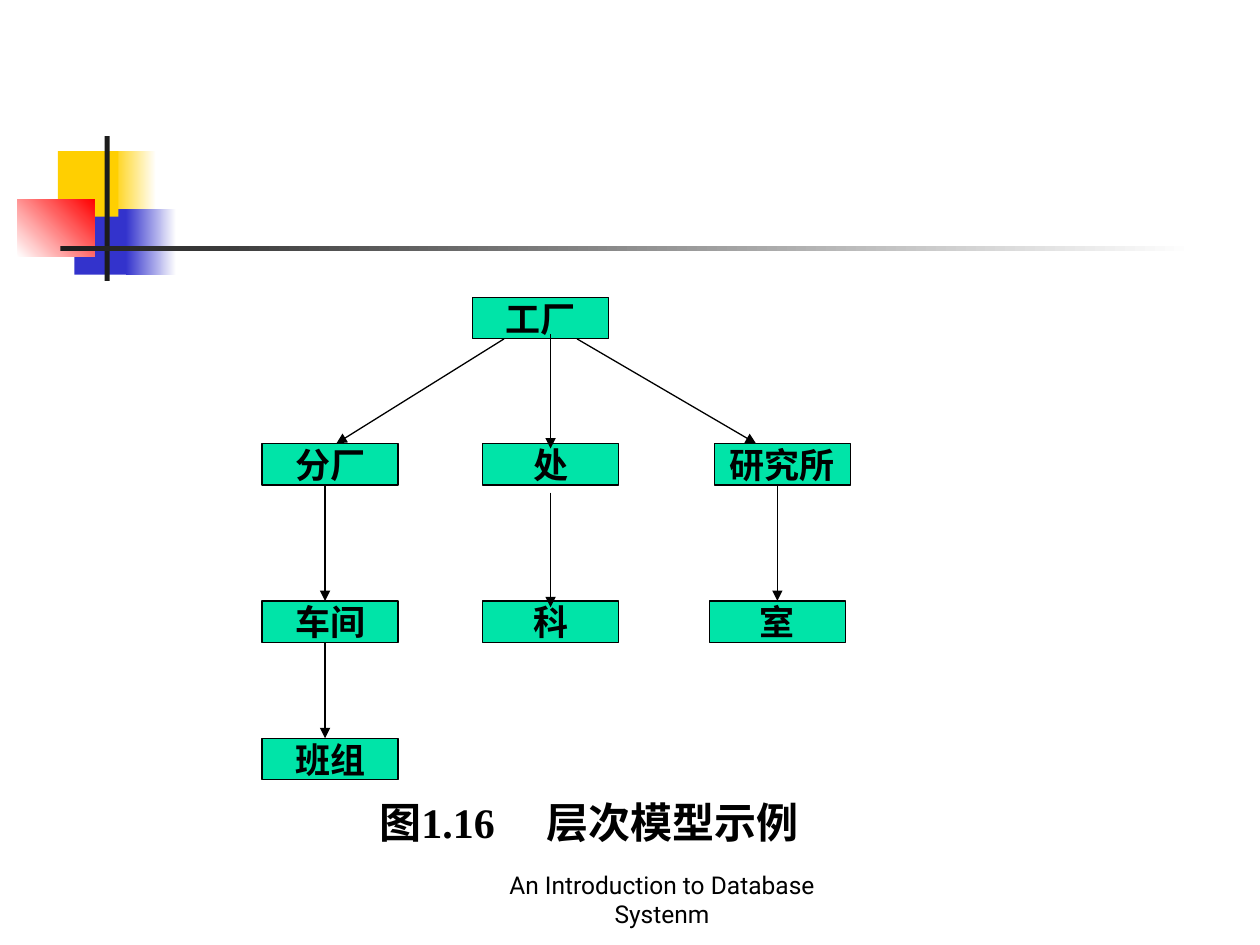
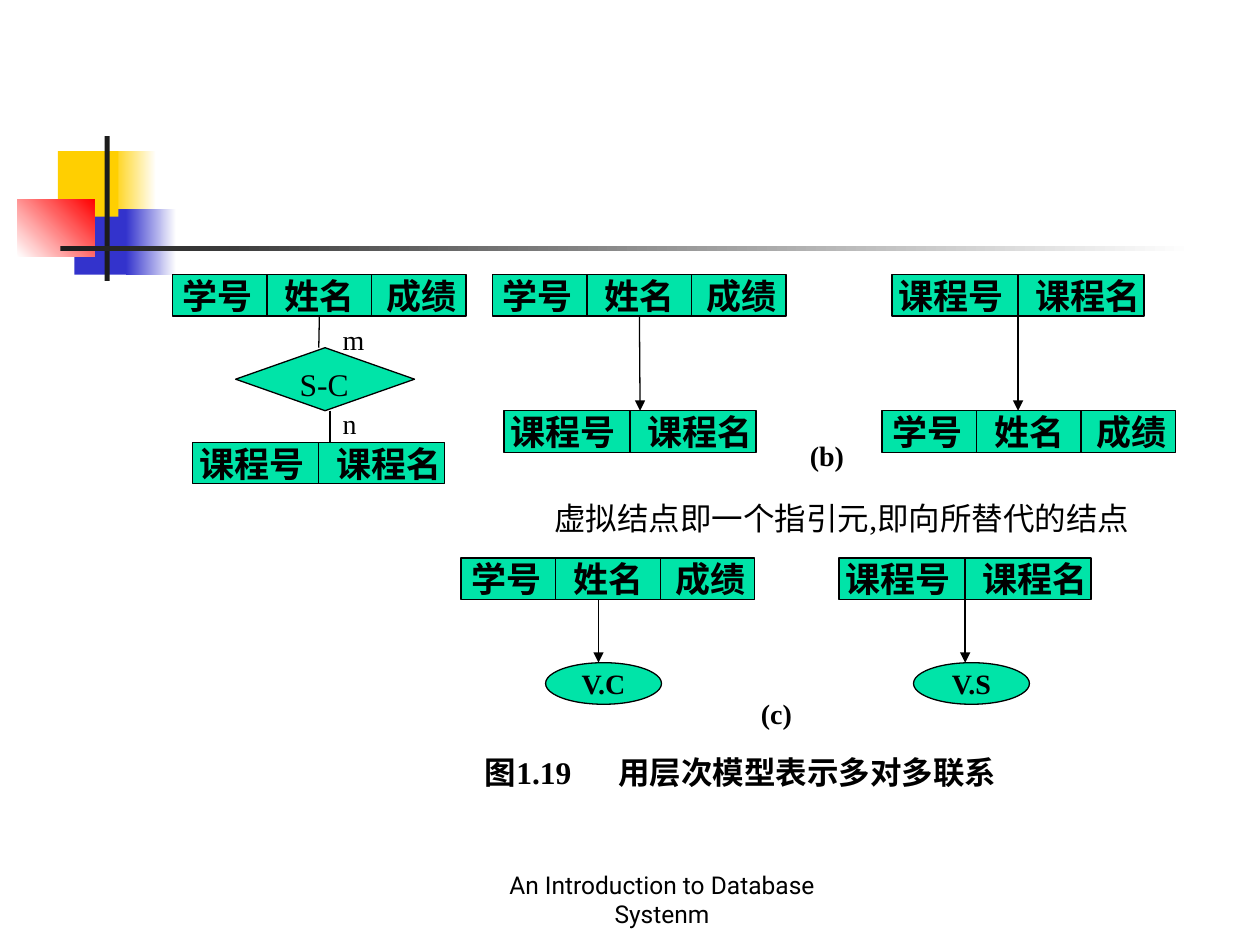
from lxml.etree import SubElement
from pptx import Presentation
from pptx.dml.color import RGBColor
from pptx.enum.shapes import MSO_CONNECTOR, MSO_SHAPE
from pptx.enum.text import MSO_ANCHOR, PP_ALIGN
from pptx.oxml.ns import qn
from pptx.util import Inches, Pt

WIDTH, HEIGHT = Inches(10), Inches(7.5)
COLS = 100  # square grid: 100 columns by 75 rows
BLACK, WHITE, GREEN = "000000", "FFFFFF", "00E4A8"
YELLOW, BLUE, RED, DARK = "FFCF01", "3333CC", "FF0000", "1C1C1C"
SERIF, SANS = "Times New Roman", "Roboto"
BOX_H = 3.3
NODE_W = 10.8
OVAL_W = 9.2
BOTTOM, TOP = 2, 0

# fields, width, dividers, left inset and distance between fields
STUDENT = (("学号", "姓名", "成绩"), 23.3, (7.5, 15.8), 0.8, 8.1)
COURSE = (("课程号", "课程名"), 20, (10,), 0.5, 10.9)


def grid(n):
    return round(n * WIDTH / COLS)


def rgb(color):
    return RGBColor.from_string(color)


def write(sp, text, size, bold=False, font=SERIF, align=PP_ALIGN.LEFT,
          anchor=MSO_ANCHOR.TOP, wrap=True, tabs=()):
    tf = sp.text_frame
    tf.word_wrap = wrap
    tf.vertical_anchor = anchor
    p = tf.paragraphs[0]
    p.text = text
    p.alignment = align
    if tabs:
        tab_list = SubElement(p._p.get_or_add_pPr(), qn("a:tabLst"))
        for tab in tabs:
            SubElement(tab_list, qn("a:tab"), pos=str(grid(tab)), algn="l")
    p.font.name = font
    p.font.size = Pt(size)
    p.font.bold = bold
    p.font.color.rgb = rgb(BLACK)


def label(slide, x, y, w, h, text, size, inset=1, **style):
    sp = slide.shapes.add_textbox(grid(x), grid(y), grid(w), grid(h))
    sp.text_frame.margin_left = grid(inset)
    write(sp, text, size, **style)


def shape(slide, kind, x, y, w, h, fill=GREEN, outline=BLACK):
    sp = slide.shapes.add_shape(kind, grid(x), grid(y), grid(w), grid(h))
    sp.shadow.inherit = False
    sp.fill.solid()
    sp.fill.fore_color.rgb = rgb(fill)
    if outline:
        sp.line.color.rgb = rgb(outline)
        sp.line.width = Pt(0.75)
    else:
        sp.line.fill.background()
    return sp


def node(slide, x, y, text, w=NODE_W, kind=MSO_SHAPE.RECTANGLE, size=20):
    sp = shape(slide, kind, x, y, w, BOX_H)
    write(sp, text, size, bold=True, align=PP_ALIGN.CENTER,
          anchor=MSO_ANCHOR.MIDDLE, wrap=False)
    return sp


def oval(slide, x, y, text):
    node(slide, x, y, text, OVAL_W, MSO_SHAPE.OVAL, 16)


def line(slide, x1, y1, x2, y2, arrow=False, above=None, below=None):
    """Draw a line, joined to the shape above or below it where given."""
    c = slide.shapes.add_connector(MSO_CONNECTOR.STRAIGHT, grid(x1), grid(y1),
                                   grid(x2), grid(y2))
    c.line.color.rgb = rgb(BLACK)
    c.line.width = Pt(0.75)
    if arrow:
        SubElement(c.line._get_or_add_ln(), qn("a:tailEnd"), type="triangle")
    SubElement(c._element.spPr, qn("a:effectLst"))
    if above is not None:
        c.begin_connect(above, BOTTOM)
    if below is not None:
        c.end_connect(below, TOP)


def record(slide, x, y, kind):
    """Draw a record type: one box whose fields are parted by dividers."""
    fields, w, dividers, inset, pitch = kind
    sp = shape(slide, MSO_SHAPE.RECTANGLE, x, y, w, BOX_H)
    sp.text_frame.margin_left = grid(inset)
    sp.text_frame.margin_right = 0
    write(sp, "\t".join(fields), 20, bold=True, anchor=MSO_ANCHOR.MIDDLE,
          tabs=[pitch * i for i in range(1, len(fields))])
    for divider in dividers:
        line(slide, x + divider, y, x + divider, y + BOX_H)
    return sp


def block(slide, x, y, w, h, color, end=None, angle=0):
    """Draw a plain block, or one that fades from color to end."""
    sp = shape(slide, MSO_SHAPE.RECTANGLE, x, y, w, h, color, None)
    if end:
        sp.fill.gradient()
        sp.fill.gradient_angle = angle
        for stop, shade, position in zip(sp.fill.gradient_stops, (color, end), (0, 1)):
            stop.color.rgb = rgb(shade)
            stop.position = position


def new_slide(prs):
    """Add a slide with the shared corner blocks, rule and footer."""
    slide = prs.slides.add_slide(prs.slide_layouts[6])
    block(slide, 8.8, 12, 3.6, 5.2, YELLOW, WHITE)
    block(slide, 5.9, 16.6, 4.6, 5.2, BLUE)
    block(slide, 4.6, 12, 4.8, 5.2, YELLOW)
    block(slide, 10, 16.6, 4, 5.2, BLUE, WHITE)
    block(slide, 1.4, 15.8, 6.1, 4.6, WHITE, RED, angle=45)
    block(slide, 8.3, 10.8, 0.4, 11.5, DARK)
    block(slide, 4.8, 19.5, 90, 0.4, DARK, WHITE)
    label(slide, 36.7, 69.2, 31.7, 5, "An Introduction to Database Systenm", 14,
          font=SANS, align=PP_ALIGN.CENTER, anchor=MSO_ANCHOR.BOTTOM)
    return slide


def hierarchy_slide(prs):
    slide = new_slide(prs)
    left, middle, right = 20.8, 38.3, 56.7
    root, second, third, fourth = 23.6, 35.2, 47.7, 58.6
    node(slide, 37.5, root, "工厂")
    for x, y, text in ((left, second, "分厂"), (middle, second, "处"),
                       (right, second, "研究所"), (left, third, "车间"),
                       (middle, third, "科"), (left, fourth, "班组")):
        node(slide, x, y, text)
    office = node(slide, 56.3, third, "室")

    line(slide, 40, root + BOX_H, 26.7, second, arrow=True)
    line(slide, 45.8, root + BOX_H, 60, second, arrow=True)
    for y in (26.5, 39.1):
        line(slide, 43.7, y, 43.7, y + 9.1, arrow=True)
    for upper, lower in ((second, third), (third, fourth)):
        line(slide, 25.8, upper + BOX_H, 25.8, lower, arrow=True)
    line(slide, 61.7, second + BOX_H, 61.7, third, arrow=True, below=office)
    label(slide, 20.1, 62.7, 59.2, 5, "图1.16\t层次模型示例", 24, inset=10,
          bold=True, tabs=[13.3])


def many_to_many_slide(prs):
    slide = new_slide(prs)
    top, lower, virtual, ovals = 21.8, 32.6, 44.3, 52.6

    # Relationship between students and courses
    student = record(slide, 13.7, top, STUDENT)
    shape(slide, MSO_SHAPE.FLOWCHART_DECISION, 18.7, 27.6, 14.2, 5)
    record(slide, 15.3, 35.1, COURSE)
    line(slide, 25.3, top + BOX_H, 25.3, 27.6, above=student)
    line(slide, 26.2, 32.6, 26.2, 35.1)
    label(slide, 26.2, 25.1, 4.2, 3.7, "m", 16)
    label(slide, 26.2, 31.8, 4.2, 3.7, "n", 16)
    label(slide, 22.8, 28.5, 12.5, 4, "S-C", 18)

    # (b) Two hierarchies with repeated records
    for x, kind, child_x, child, arrow_x in ((39.1, STUDENT, 40, COURSE, 50.8),
                                             (70.8, COURSE, 70, STUDENT, 80.8)):
        parent = record(slide, x, top, kind)
        record(slide, child_x, lower, child)
        line(slide, arrow_x, top + BOX_H, arrow_x, lower, arrow=True, above=parent)
    label(slide, 63.3, 34.3, 4.7, 3.7, "(b)", 16, bold=True, wrap=False)

    # (c) The same hierarchies with virtual nodes
    label(slide, 42.1, 39.1, 50.4, 4, "虚拟结点即一个指引元,即向所替代的结点", 18,
          inset=0, align=PP_ALIGN.CENTER)
    record(slide, 36.6, virtual, STUDENT)
    course = record(slide, 66.6, virtual, COURSE)
    oval(slide, 43.3, ovals, "V.C")
    oval(slide, 72.5, ovals, "V.S")
    line(slide, 47.5, virtual + BOX_H, 47.5, ovals, arrow=True)
    line(slide, 76.6, virtual + BOX_H, 76.6, ovals, arrow=True, above=course)
    label(slide, 59.4, 54.8, 9.2, 3.7, "(c)", 16, bold=True)
    label(slide, 37.5, 59.3, 51.7, 4, "图1.19\t用层次模型表示多对多联系", 18,
          bold=True, tabs=[10.6])


def main():
    prs = Presentation()
    prs.slide_width, prs.slide_height = WIDTH, HEIGHT
    hierarchy_slide(prs)
    many_to_many_slide(prs)
    prs.save("out.pptx")


if __name__ == "__main__":
    main()
